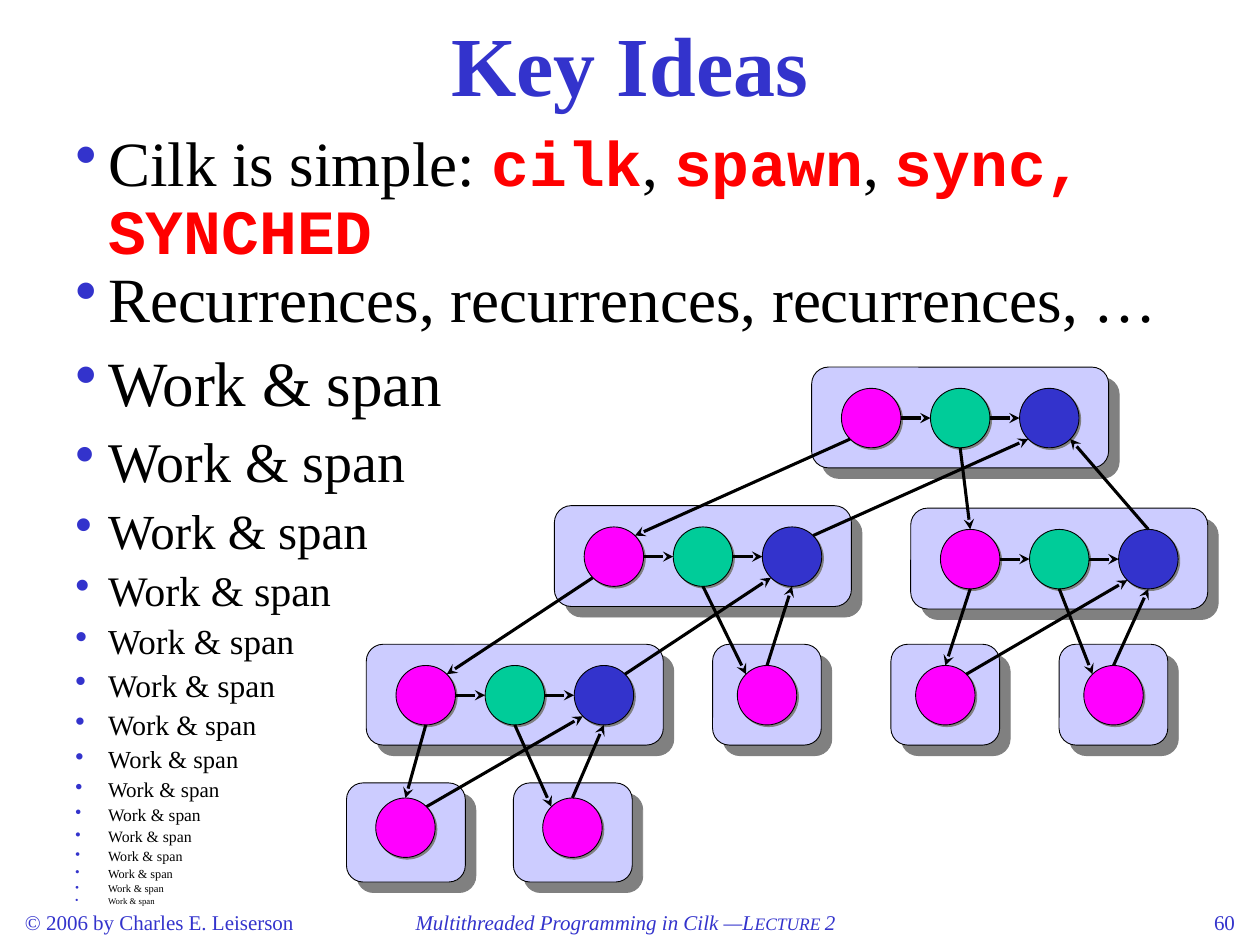
from math import copysign, sqrt
from lxml.etree import SubElement as sub
from pptx import Presentation
from pptx.dml.color import RGBColor as RGB
from pptx.enum.shapes import MSO_CONNECTOR as LINK, MSO_SHAPE as KIND
from pptx.enum.text import MSO_ANCHOR as ANCHOR, MSO_AUTO_SIZE as AUTO, PP_ALIGN as ALIGN
from pptx.oxml.ns import qn
from pptx.util import Pt

BLUE = RGB(0x33, 0x33, 0xCC)
PINK = RGB(0xFF, 0x00, 0xFF)
GREEN = RGB(0x00, 0xCC, 0x99)
PALE = RGB(0xCC, 0xCC, 0xFF)
RED = RGB(0xFF, 0x00, 0x00)
GRAY = RGB(0x80, 0x80, 0x80)
BLACK = RGB(0x00, 0x00, 0x00)
SERIF, MONO = "Times New Roman", "Courier New"


def write(para, text, size=12, color=BLUE, face=SERIF, bold=False, slant=False):
    run = para.add_run()
    run.text = text
    font = run.font
    font.size, font.name = Pt(size), face
    font.bold, font.italic = bold, slant
    font.color.rgb = color


def draw(kind, left, top, width, height, fill, drop):
    shape = slide.shapes.add_shape(kind, Pt(left), Pt(top), Pt(width), Pt(height))
    shape.fill.solid()
    shape.fill.fore_color.rgb = fill
    shape.line.color.rgb = BLACK
    shape.line.width = Pt(0.5)
    shape.shadow.inherit = False
    glow = sub(shape.element.spPr.find(qn("a:effectLst")), qn("a:outerShdw"),
               dist=str(Pt(drop)), dir="2700000", algn="ctr", rotWithShape="0")
    sub(glow, qn("a:srgbClr"), val=str(GRAY))


deck = Presentation()
deck.slide_width, deck.slide_height = Pt(720), Pt(540)
slide = deck.slides.add_slide(deck.slide_layouts[5])

title = slide.shapes.title
title.left, title.top, title.width, title.height = Pt(0), Pt(0), Pt(720), Pt(72)
frame = title.text_frame
frame.auto_size = AUTO.NONE
frame.vertical_anchor = ANCHOR.MIDDLE
frame.paragraphs[0].alignment = ALIGN.CENTER
write(frame.paragraphs[0], "Key Ideas", size=48, bold=True)

paras = []
for left, top, width, height, align in [
    (36, 72, 648, 456.5, ALIGN.LEFT),
    (7.2, 516.3, 174, 24, ALIGN.LEFT),
    (189.4, 516.3, 336, 24, ALIGN.CENTER),
    (532.8, 516.3, 180, 24, ALIGN.RIGHT),
]:
    box = slide.shapes.add_textbox(Pt(left), Pt(top), Pt(width), Pt(height))
    box.text_frame.word_wrap = True
    para = box.text_frame.paragraphs[0]
    para.alignment = align
    paras.append(para)
    if len(paras) == 1:
        body = box.text_frame

intro, credit, course, page = paras
write(credit, "© 2006 by Charles E. Leiserson")
write(course, "Multithreaded Programming in Cilk —L", slant=True)
write(course, "ECTURE ", size=10, slant=True)
write(course, "2", slant=True)
write(page, "60")

write(intro, "Cilk is simple: ", size=36, color=BLACK)
for word, gap in [("cilk", ", "), ("spawn", ", "), ("sync, SYNCHED", "")]:
    write(intro, word, size=36, color=RED, face=MONO, bold=True)
    if gap:
        write(intro, gap, size=36, color=BLACK)
write(body.add_paragraph(), "Recurrences, recurrences, recurrences, …", size=36, color=BLACK)
for size in [36, 32, 28, 24, 20, 18, 16, 14, 12, 10, 9, 8, 7, 6, 5]:
    para = body.add_paragraph()
    para.space_before = Pt(size / 4)
    write(para, "Work & span", size=size, color=BLACK)
for para in body.paragraphs:
    para.line_spacing = 0.9
    props = para._p.get_or_add_pPr()
    props.set("marL", str(Pt(18.75)))
    props.set("indent", str(Pt(-18.75)))
    sub(sub(props, qn("a:buClr")), qn("a:srgbClr"), val=str(BLUE))
    sub(props, qn("a:buChar"), char="•")

DOT, STEP = 34, 50.9
trio, solo = (169.7, 57.6, 17, 12.1, 3), (62.1, 57.6, 14.1, 12.1, 1)
leaf = (67.9, 56.6, 16.7, 8.6, 1)
tasks = {
    "A": (463.8, 209.8, trio), "B": (316.8, 289, trio), "C": (520.4, 290.4, trio),
    "D": (209.3, 368.2, trio), "E": (407.2, 368.2, solo), "F": (509.1, 368.2, solo),
    "G": (605.2, 368.2, solo), "H": (198, 447.4, leaf), "I": (293.4, 447.4, leaf),
}
dots, links = {}, []
for name, (left, top, (width, height, dx, dy, count)) in tasks.items():
    draw(KIND.ROUNDED_RECTANGLE, left, top, width, height, PALE, 8.5)
    for i in range(count):
        dots[f"{name}{i}"] = (left + dx + i * STEP, top + dy, (PINK, GREEN, BLUE)[i])
        if i:
            links.append(f"{name}{i - 1} e {name}{i} w")
for left, top, fill in dots.values():
    draw(KIND.OVAL, left, top, DOT, DOT, fill, 1.4)

links += [
    "A0 sw B0 ne", "A1 s C0 n", "B0 sw D0 ne", "B1 s E0 nw",
    "C0 s F0 n", "C1 s G0 nw", "D0 s H0 n", "D1 s I0 nw",
    "H0 ne D2 sw", "I0 n D2 s", "D2 ne B2 sw", "E0 n B2 s",
    "B2 ne A2 sw", "F0 ne C2 sw", "G0 n C2 s", "C2 n A2 se",
]
for link in links:
    start, out, end, into = link.split()
    ends = []
    for name, side in [(start, out), (end, into)]:
        reach = DOT / 2 / sqrt(len(side))
        ends.append(Pt(dots[name][0] + DOT / 2 + reach * (("e" in side) - ("w" in side))))
        ends.append(Pt(dots[name][1] + DOT / 2 + reach * (("s" in side) - ("n" in side))))
    arrow = slide.shapes.add_connector(LINK.STRAIGHT, *ends)
    arrow.line.color.rgb = BLACK
    arrow.line.width = Pt(1.75)
    sub(arrow.line._get_or_add_ln(), qn("a:tailEnd"), type="stealth")
    sub(arrow.element.spPr, qn("a:effectLst"))

deck.save("out.pptx")
